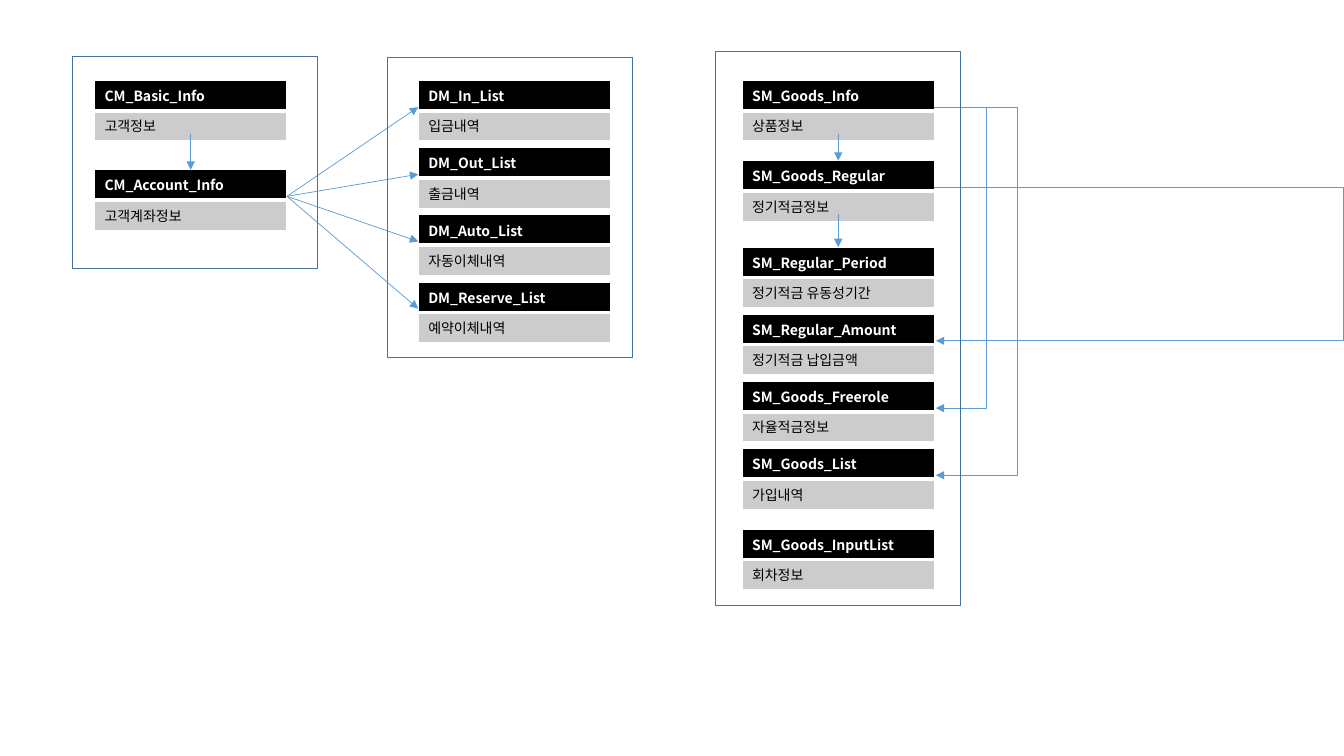
from lxml.etree import SubElement
from pptx import Presentation
from pptx.dml.color import RGBColor
from pptx.enum.shapes import MSO_CONNECTOR as Link, MSO_SHAPE as Preset
from pptx.oxml.ns import qn
from pptx.util import Pt

BLACK = RGBColor(0x00, 0x00, 0x00)
WHITE = RGBColor(0xFF, 0xFF, 0xFF)
GREY = RGBColor(0xCC, 0xCC, 0xCC)
ARROW_BLUE = RGBColor(0x5B, 0x9B, 0xD5)
FRAME_BLUE = RGBColor(0x43, 0x73, 0x9E)

SLIDE_WIDTH, SLIDE_HEIGHT = 960, 540
ENTITY_WIDTH, ENTITY_HEIGHT, ROW_HEIGHT = 137.5, 38, 16
TOP, LEFT, BOTTOM, RIGHT = 0, 1, 2, 3  # connection sites


class Diagram:
    font = "Noto Sans CJK KR"
    text_size = 10

    def __init__(self, slide):
        self.shapes = slide.shapes

    def border(self, cell, **widths):
        properties = cell._tc.get_or_add_tcPr()
        for side in "LRTB":
            line = SubElement(properties, qn(f"a:ln{side}"),
                              w=str(Pt(widths.get(side, 1))))
            fill = SubElement(line, qn("a:solidFill"))
            SubElement(fill, qn("a:srgbClr"), val=str(WHITE))

    def label(self, cell, text, fill, color, bold):
        cell.fill.solid()
        cell.fill.fore_color.rgb = fill
        cell.text_frame.text = text
        run = cell.text_frame.paragraphs[0].runs[0]
        run.font.size = Pt(self.text_size)
        run.font.bold = bold
        run.font.color.rgb = color
        run.font.name = self.font
        SubElement(run.font._element, qn("a:ea"), typeface=self.font)

    def entity(self, left, top, name, meaning):
        frame = self.shapes.add_table(2, 1, Pt(left), Pt(top),
                                      Pt(ENTITY_WIDTH), Pt(ENTITY_HEIGHT))
        table = frame.table
        for row in table.rows:
            row.height = Pt(ROW_HEIGHT)
        frame.height = Pt(ENTITY_HEIGHT)
        header, body = table.cell(0, 0), table.cell(1, 0)
        self.border(header, B=3)
        self.border(body, T=3)
        self.label(header, name, BLACK, WHITE, True)
        self.label(body, meaning, GREY, BLACK, False)
        return frame

    def arrow_style(self, link):
        link.line.color.rgb = ARROW_BLUE
        link.line.width = Pt(0.5)
        SubElement(link.line._get_or_add_ln(), qn("a:tailEnd"), type="triangle")
        SubElement(link._element.spPr, qn("a:effectLst"))

    def arrow(self, source, source_side, target, target_side):
        link = self.shapes.add_connector(Link.STRAIGHT, 0, 0, 0, 0)
        link.begin_connect(source, source_side)
        link.end_connect(target, target_side)
        self.arrow_style(link)

    def side_arrow(self, source, target, bend):
        """Leave and enter on the right, turning at x = bend."""
        start = source.left + source.width
        reach = Pt(1)
        link = self.shapes.add_connector(
            Link.ELBOW, start, source.top + source.height // 2,
            start + reach, target.top + target.height // 2)
        adjust = round((Pt(bend) - start) / reach * 100000)
        guides = link._element.spPr.find(qn("a:prstGeom")).get_or_add_avLst()
        SubElement(guides, qn("a:gd"), name="adj1", fmla=f"val {adjust}")
        self.arrow_style(link)

    def group_frame(self, left, top, width, height):
        box = self.shapes.add_shape(Preset.RECTANGLE, Pt(left), Pt(top),
                                    Pt(width), Pt(height))
        box.shadow.inherit = False
        box.fill.background()
        box.line.color.rgb = FRAME_BLUE
        box.line.width = Pt(1)


# Entities by group: left edge, then top, name, meaning
GROUPS = [
    (67.5, [(57.5, "CM_Basic_Info", "고객정보"),
            (121.25, "CM_Account_Info", "고객계좌정보")]),
    (298.75, [(57.5, "DM_In_List", "입금내역"),
              (105.5, "DM_Out_List", "출금내역"),
              (153.5, "DM_Auto_List", "자동이체내역"),
              (201.5, "DM_Reserve_List", "예약이체내역")]),
    (530, [(57.5, "SM_Goods_Info", "상품정보"),
           (114.75, "SM_Goods_Regular", "정기적금정보"),
           (176.5, "SM_Regular_Period", "정기적금 유동성기간"),
           (224.5, "SM_Regular_Amount", "정기적금 납입금액"),
           (272.5, "SM_Goods_Freerole", "자율적금정보"),
           (320.5, "SM_Goods_List", "가입내역"),
           (378, "SM_Goods_InputList", "회차정보")]),
]
GROUP_FRAMES = [(52, 40.25, 175, 151.5), (277, 41, 175, 214.5),
                (511, 36.75, 175, 396)]


def main():
    deck = Presentation()
    deck.slide_width, deck.slide_height = Pt(SLIDE_WIDTH), Pt(SLIDE_HEIGHT)
    diagram = Diagram(deck.slides.add_slide(deck.slide_layouts[6]))

    # Entity tables
    customers, deposits, savings = [
        [diagram.entity(left, *entity) for entity in entities]
        for left, entities in GROUPS]

    # Arrows down within a group
    basic, account = customers
    goods, regular, period, amount, freerole, goods_list, _ = savings
    for parent, child in [(basic, account), (goods, regular), (regular, period)]:
        diagram.arrow(parent, BOTTOM, child, TOP)

    # Account to its transaction lists
    for transactions in deposits:
        diagram.arrow(account, RIGHT, transactions, LEFT)

    # Arrows around the right side of the savings group
    diagram.side_arrow(regular, amount, SLIDE_WIDTH + 2)
    diagram.side_arrow(goods, freerole, 705)
    diagram.side_arrow(goods, goods_list, 727)

    # Group frames
    for bounds in GROUP_FRAMES:
        diagram.group_frame(*bounds)

    deck.save("out.pptx")


if __name__ == "__main__":
    main()
